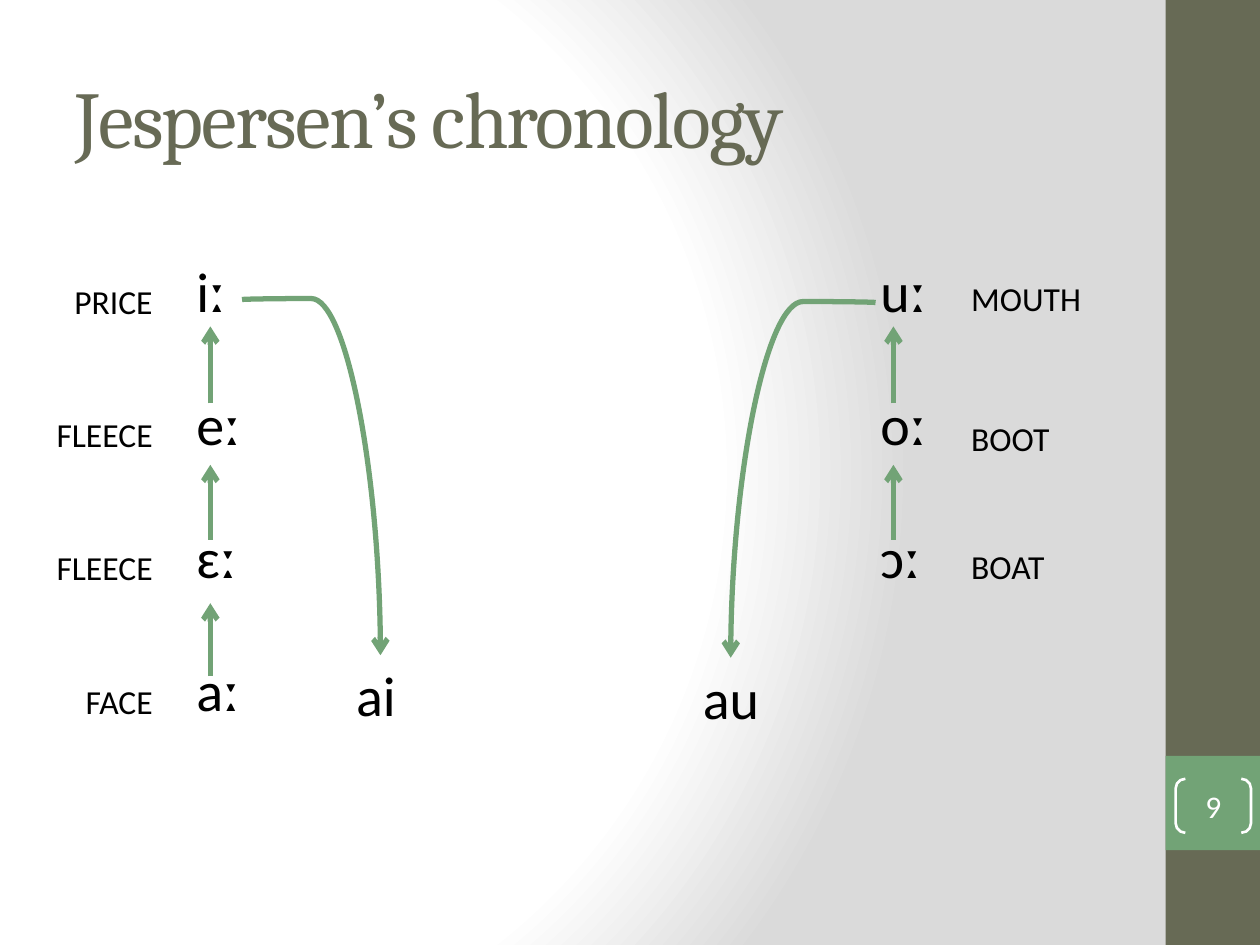
from lxml.etree import SubElement
from pptx import Presentation
from pptx.dml.color import RGBColor
from pptx.enum.shapes import MSO_CONNECTOR, MSO_SHAPE
from pptx.enum.text import MSO_ANCHOR, PP_ALIGN
from pptx.oxml import parse_xml
from pptx.oxml.ns import nsdecls, qn
from pptx.util import Cm, Pt

OLIVE, GREEN, BLACK, WHITE = "676A55", "72A376", "000000", "FFFFFF"
TITLE = "Jespersen’s chronology"
PAGE = "9"
VOWEL_COLUMNS = [
    (3.71, 1.65, ["iː", "eː", "ɛː", "aː"]),
    (17.5, 1.96, ["uː", "oː", "ɔː"]),
]
DIPHTHONGS = [("ai", 6.93, 13.2, 1.5), ("au", 13.92, 13.26, 1.65)]
LABEL_COLUMNS = [
    (0.6, 2.73, PP_ALIGN.RIGHT,
     [("price", 5.36), ("fleece", 8.05), ("fleece", 10.74), ("face", 13.44)]),
    (19.33, 3.1, PP_ALIGN.LEFT,
     [("mouth", 5.31), ("boot", 8.13), ("boat", 10.72)]),
]
RAISINGS = [(4.24, 3), (18.01, 2)]
BREAKINGS = [((4.88, 6.04), (7.67, 13.21)), ((17.65, 6.1), (14.73, 13.26))]
BACKGROUND = (
    f'<p:bg {nsdecls("p", "a")}><p:bgPr><a:gradFill rotWithShape="1"><a:gsLst>'
    '<a:gs pos="0"><a:srgbClr val="FFFFFF"/></a:gs>'
    '<a:gs pos="75000"><a:srgbClr val="FFFFFF"/></a:gs>'
    '<a:gs pos="100000"><a:srgbClr val="DADADA"/></a:gs></a:gsLst>'
    '<a:path path="circle"><a:fillToRect l="20000" t="50000" r="100000" b="50000"/></a:path>'
    '</a:gradFill><a:effectLst/></p:bgPr></p:bg>'
)


def paint(color_format, color):
    """Set a colour from a hex string."""
    color_format.rgb = RGBColor.from_string(color)


def format_text(frame, size, color, font="Calibri", align=PP_ALIGN.LEFT, **run_attributes):
    """Format every paragraph and run of a text frame."""
    for paragraph in frame.paragraphs:
        paragraph.alignment = align
        for run in paragraph.runs:
            run.font.size = Pt(size)
            run.font.name = font
            paint(run.font.color, color)
            for key, value in run_attributes.items():
                run.font._element.set(key, value)


def add_text(slide, text, left, top, width, height, size, **options):
    """Add a black text box and return its frame."""
    frame = slide.shapes.add_textbox(Cm(left), Cm(top), Cm(width), Cm(height)).text_frame
    frame.word_wrap = True
    frame.text = text
    format_text(frame, size, BLACK, **options)
    return frame


def add_block(slide, top, height):
    """Add a filled block of the side bar."""
    block = slide.shapes.add_shape(MSO_SHAPE.RECTANGLE, Cm(23.5), Cm(top), Cm(1.9), Cm(height))
    block.shadow.inherit = False
    block.fill.solid()
    block.line.fill.background()
    return block


def add_arrow(slide, kind, start, end):
    """Add a green arrow between two points."""
    arrow = slide.shapes.add_connector(kind, *map(Cm, start + end))
    arrow.line.width = Pt(3)
    paint(arrow.line.color, GREEN)
    SubElement(arrow.line._get_or_add_ln(), qn("a:tailEnd"), type="arrow")
    SubElement(arrow._element.spPr, qn("a:effectLst"))
    return arrow


def add_breaking(slide, start, end):
    """Add a curved arrow that leaves sideways and ends downwards."""
    (x1, y1), (x2, y2) = start, end
    middle_x, middle_y = (x1 + x2) / 2, (y1 + y2) / 2
    half_length, half_breadth = (y2 - y1) / 2, abs(x2 - x1) / 2
    arrow = add_arrow(slide, MSO_CONNECTOR.CURVE,
                      (middle_x - half_length, middle_y - half_breadth),
                      (middle_x + half_length, middle_y + half_breadth))
    frame = arrow._element.spPr.find(qn("a:xfrm"))
    rightward = x2 > x1
    frame.set("rot", str((270 if rightward else 90) * 60000))
    if rightward:
        frame.set("flipH", "1")
    guides = arrow._element.spPr.find(qn("a:prstGeom")).get_or_add_avLst()
    SubElement(guides, qn("a:gd"), name="adj1", fmla="val -300")


def main():
    """Build the slide on Jespersen's chronology."""
    deck = Presentation()
    deck.slide_width, deck.slide_height = Cm(25.4), Cm(19.05)
    slide = deck.slides.add_slide(deck.slide_layouts[5])
    slide._element.cSld.insert(0, parse_xml(BACKGROUND))

    for top, height, color in [(0, 19.05, OLIVE), (15.24, 1.9, GREEN)]:
        paint(add_block(slide, top, height).fill.fore_color, color)

    title = slide.shapes.title
    title.left, title.top, title.width, title.height = map(Cm, (1.27, 0.76, 21.16, 3.18))
    title.text_frame.text = TITLE
    title.text_frame.vertical_anchor = MSO_ANCHOR.MIDDLE
    format_text(title.text_frame, 46, OLIVE, "Cambria", spc="-100")

    for left, width, vowels in VOWEL_COLUMNS:
        height = 1.63 + 2.7 * (len(vowels) - 1)
        column = add_text(slide, "\n".join(vowels), left, 5.05, width, height, 32)
        for paragraph in column.paragraphs[1:]:
            paragraph.space_before = Pt(37.5)
    for diphthong, left, top, width in DIPHTHONGS:
        add_text(slide, diphthong, left, top, width, 1.63, 32)
    for left, width, align, words in LABEL_COLUMNS:
        for word, top in words:
            add_text(slide, word, left, top, width, 1.07, 24, align=align, cap="small")

    for x, count in RAISINGS:
        for step in range(count):
            add_arrow(slide, MSO_CONNECTOR.STRAIGHT,
                      (x, 8.13 + 2.75 * step), (x, 6.58 + 2.79 * step))
    for start, end in BREAKINGS:
        add_breaking(slide, start, end)

    number = slide.shapes.add_shape(MSO_SHAPE.DOUBLE_BRACKET, Cm(23.7), Cm(15.7), Cm(1.52), Cm(1.09))
    number.shadow.inherit = False
    number.adjustments[0] = 0.18
    number.fill.background()
    number.line.width = Pt(1.5)
    paint(number.line.color, WHITE)
    frame = number.text_frame
    frame.margin_left = frame.margin_right = frame.margin_top = frame.margin_bottom = 0
    frame.vertical_anchor = MSO_ANCHOR.MIDDLE
    frame.text = PAGE
    format_text(frame, 18, WHITE, align=PP_ALIGN.CENTER)

    deck.save("out.pptx")


if __name__ == "__main__":
    main()
